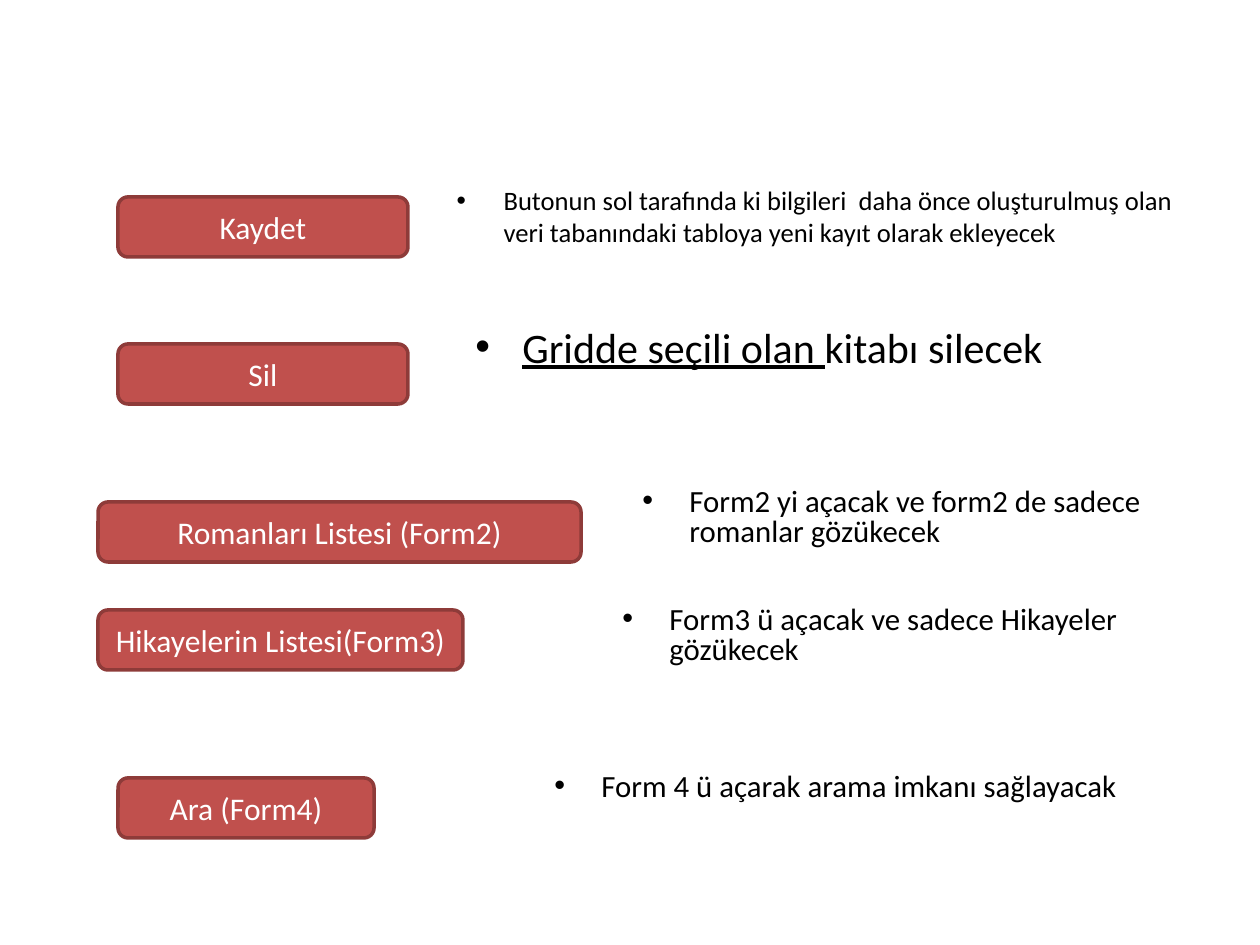
"""Build a slide that pairs form buttons with notes on what they do."""
import lxml.etree
import pptx
import pptx.dml.color
import pptx.enum.shapes
import pptx.enum.text
import pptx.oxml.ns
import pptx.util

PX = 914400 / 126
TALL = 60
STEP = 47
FACE = "Calibri"
ROWS = [
    {"label": "Kaydet", "key": (118, 197, 290), "note": (444, 178, 753), "size": 15.2, "lead": 1.0,
     "runs": [("Butonun sol tarafında ki bilgileri  daha önce oluşturulmuş olan "
               "veri tabanındaki tabloya yeni kayıt olarak ekleyecek", False)]},
    {"label": "Sil", "key": (118, 344, 290), "note": (463, 315, 753), "size": 24, "lead": 1.0,
     "runs": [("Gridde seçili olan ", True), ("kitabı silecek", False)]},
    {"label": "Romanları Listesi (Form2)", "key": (98, 502, 483), "note": (630, 483, 630),
     "size": 17.6, "lead": 0.8,
     "runs": [("Form2 yi açacak ve form2 de sadece romanlar gözükecek", False)]},
    {"label": "Hikayelerin Listesi(Form3)", "key": (98, 610, 365), "note": (610, 601, 650),
     "size": 17.6, "lead": 0.8,
     "runs": [("Form3 ü açacak ve sadece Hikayeler gözükecek", False)]},
    {"label": "Ara (Form4)", "key": (118, 778, 256), "note": (542, 768, 650),
     "size": 17.6, "lead": 0.8,
     "runs": [("Form 4 ü açarak arama imkanı sağlayacak", False)]},
]


def emu(num):
    """Turn px into EMU."""
    return pptx.util.Emu(round(num * PX))


def tint(part, code):
    """Give a font, fill or line one solid colour."""
    fill = part if hasattr(part, "solid") else part.fill
    fill.solid()
    fill.fore_color.rgb = pptx.dml.color.RGBColor.from_string(code)


def style(part, form):
    """Set each attribute named in a dict."""
    for name, value in form.items():
        setattr(part, name, value)


def write(para, text, size, code, **form):
    """Add one run with its font."""
    run = para.add_run()
    run.text = text
    style(run.font, {"name": FACE, "size": pptx.util.Pt(size), **form})
    tint(run.font, code)


def dot(para):
    """Give a paragraph a hanging round bullet."""
    props = para._p.get_or_add_pPr()
    props.set("marL", str(emu(STEP)))
    props.set("indent", str(-emu(STEP)))
    tag = pptx.oxml.ns.qn
    lxml.etree.SubElement(props, tag("a:buFont")).set("typeface", "Arial")
    lxml.etree.SubElement(props, tag("a:buChar")).set("char", "•")


def button(slide, box, label):
    """Draw a rounded button with its label."""
    kind = pptx.enum.shapes.MSO_SHAPE.ROUNDED_RECTANGLE
    shape = slide.shapes.add_shape(kind, *map(emu, box))
    shape.shadow.inherit = False
    tint(shape.fill, "C0504D")
    tint(shape.line, "8E3B39")
    shape.line.width = pptx.util.Pt(2)
    frame = shape.text_frame
    style(frame, {"word_wrap": True, "vertical_anchor": pptx.enum.text.MSO_ANCHOR.MIDDLE})
    para = frame.paragraphs[0]
    para.alignment = pptx.enum.text.PP_ALIGN.CENTER
    write(para, label, 18, "FFFFFF")


def note(shape, box, row):
    """Place a text shape and fill it with a bulleted note."""
    style(shape, dict(zip(("left", "top", "width", "height"), map(emu, box))))
    frame = shape.text_frame
    style(frame, {"word_wrap": True, "auto_size": pptx.enum.text.MSO_AUTO_SIZE.NONE})
    para = frame.paragraphs[0]
    style(para, {"line_spacing": row["lead"],
                 "space_before": pptx.util.Pt(row["size"] * 0.2)})
    dot(para)
    for text, line in row["runs"]:
        write(para, text, row["size"], "000000", underline=line)


def main():
    """Build and save the slide."""
    deck = pptx.Presentation()
    style(deck, {"slide_width": emu(1260), "slide_height": emu(945)})
    slide = deck.slides.add_slide(deck.slide_layouts[1])
    title = slide.shapes.title.element
    title.getparent().remove(title)
    body = slide.placeholders[1]
    for row in ROWS:
        button(slide, (*row["key"], TALL), row["label"])
        shape = body if row is ROWS[0] else slide.shapes.add_textbox(0, 0, 0, 0)
        note(shape, (*row["note"], 74), row)
    deck.save("out.pptx")


if __name__ == "__main__":
    main()
